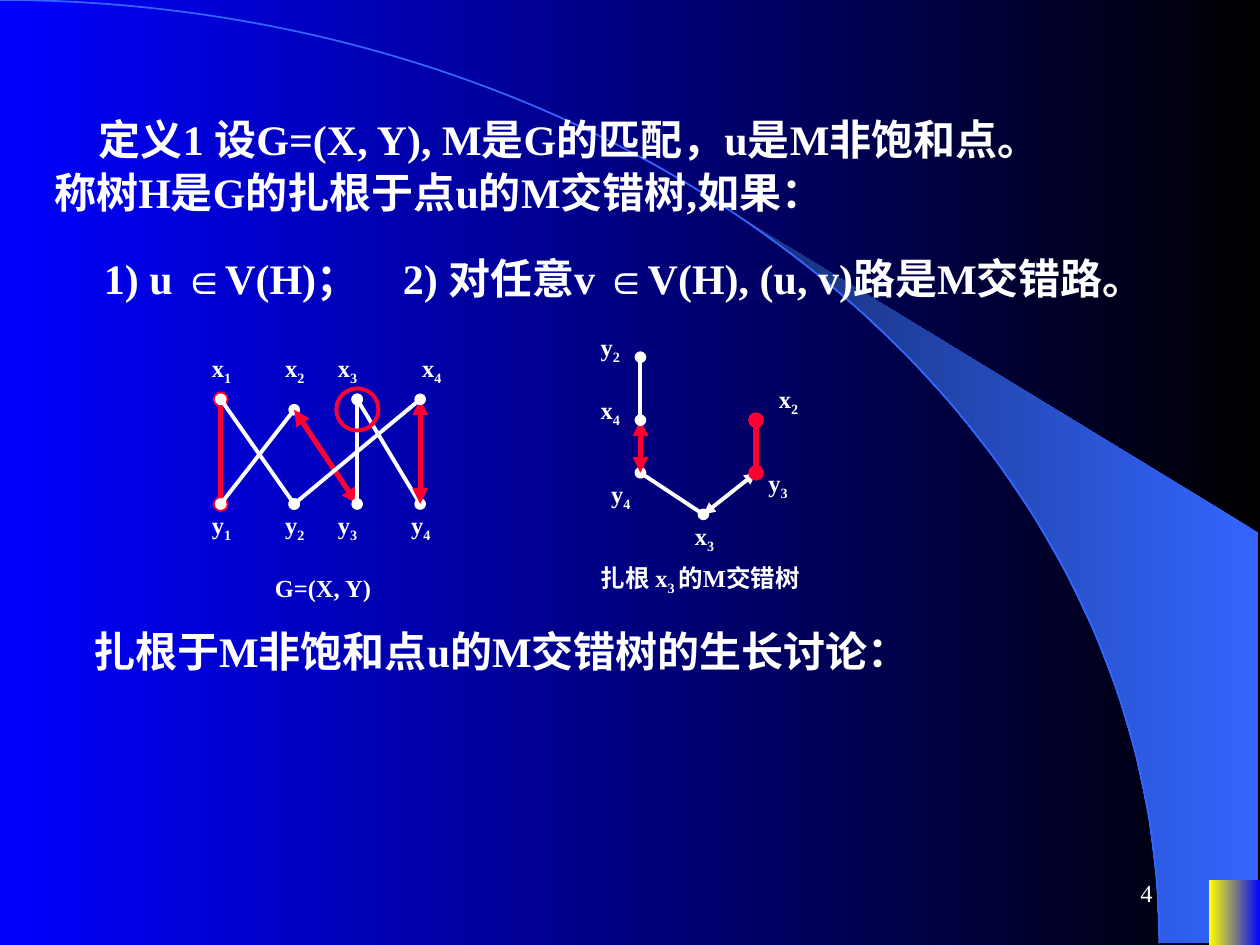
from math import asin, cos, pi, sin

from lxml import etree
from pptx import Presentation
from pptx.dml.color import RGBColor
from pptx.enum import shapes, text
from pptx.oxml import ns
from pptx.util import Cm, Pt

WHITE, RED, BLUE = "FFFFFF", "FF0033", "3366FF"


def paint(fill, *cols):
    """Solid fill for one colour, right-to-left gradient for two."""
    if len(cols) == 1:
        fill.solid()
        fill.fore_color.rgb = RGBColor.from_string(cols[0])
        return
    fill.gradient()
    fill.gradient_angle = 180
    for stop, col in zip(fill.gradient_stops, cols):
        stop.color.rgb = RGBColor.from_string(col)


def write(box, words, at, size=14, bold=True, indent=0, lead=1.0,
          align=text.PP_ALIGN.LEFT, anchor=text.MSO_ANCHOR.TOP):
    """Fill a box; "_" marks a subscript, or a stretched gap before a space."""
    box.left, box.top, box.width, box.height = [Cm(n) for n in at]
    frame = box.text_frame
    frame.word_wrap = True
    frame.auto_size = text.MSO_AUTO_SIZE.NONE
    frame.vertical_anchor = anchor
    par = frame.paragraphs[0]
    par.alignment = align
    par.line_spacing = lead
    par.space_before = Pt(0)
    props = par._p.get_or_add_pPr()
    props.set("marL", "0")
    props.set("indent", str(Cm(indent)))
    props.set("hangingPunct", "0")
    etree.SubElement(props, ns.qn("a:buNone"))
    first, *rest = words.split("_")
    parts = [(first, False)]
    for bit in rest:
        cut = 2 if bit[1:2] == " " else 1
        parts += [(bit[:cut], True), (bit[cut:], False)]
    for part, marked in parts:
        if part:
            run = par.add_run()
            run.text = part
            font = run.font
            font.name, font.size, font.bold = "Times New Roman", Pt(size), bold
            paint(font.fill, WHITE)
            if marked:
                key, val = ("spc", "2000") if part == " " else ("baseline", "-25000")
                run._r.get_or_add_rPr().set(key, val)


deck = Presentation()
deck.slide_width, deck.slide_height = Cm(25.4), Cm(19.05)
slide = deck.slides.add_slide(deck.slide_layouts[1])
items = slide.shapes
paint(slide.background.fill, "000000", "0000FF")

# Backdrop: quarter ellipse and the band that runs along its lower end
wide, high, steps = 23.37, 19.02, 13
start = asin(0.64)
turns = [start + (pi / 2 - start) * i / steps for i in range(steps + 1)]
rim = [(Cm(wide * sin(t)), Cm(high * (1 - cos(t)))) for t in turns]
pen = items.build_freeform(*rim[0])
pen.add_line_segments(rim[1:] + [(Cm(25.37), Cm(high)), (Cm(25.37), Cm(10.74))])
band = pen.convert_to_shape()
paint(band.fill, BLUE, "172F75")
band.line.fill.background()

curve = items.add_shape(shapes.MSO_SHAPE.ARC,
                        Cm(-wide), Cm(0), Cm(2 * wide), Cm(2 * high))
curve.fill.background()
paint(curve.line.fill, BLUE)
curve.line.width = Pt(1)

# Corner block
block = items.add_shape(shapes.MSO_SHAPE.RECTANGLE,
                        Cm(24.38), Cm(17.74), Cm(1.02), Cm(1.31))
paint(block.fill, "0000FF", "FFFF00")
block.line.fill.background()

# Definition and its conditions, in front of the backdrop
head, body = items.title, slide.placeholders[1]
for box in (head, body):
    items._spTree.append(box._element)
write(head, "定义1 设G=(X, Y), M是G的匹配，u是M非饱和点。称树H是G的扎根于点u的M交错树,如果：",
      (0.84, 2.13, 22.02, 2.46), size=24, indent=0.9, lead=1.04)
head.text_frame.margin_right = Cm(1.4)
write(body, "1) u ∈V(H)；_ 2) 对任意v ∈V(H), (u, v)路是M交错路。",
      (0.84, 4.92, 23.93, 1.45), size=24, indent=1, lead=1.04)

# Nodes of the bipartite graph and of the tree
cols = (4.45, 5.93, 7.2, 8.47)
graph = {f"y{i}": (x, 10.16) for i, x in enumerate(cols, 1)}
graph |= {f"x{i}": (x, 8.05) for i, x in enumerate(cols, 1)}
graph["x2"] = (5.93, 8.26)
tree = {"x3": (14.18, 10.37), "y4": (12.91, 9.53), "x4": (12.91, 8.47),
        "y2": (12.91, 7.2), "y3": (15.24, 9.53), "x2": (15.24, 8.47)}

# Edges: nodes, from, to, colour, end mark
edges = [
    (graph, "x1", "y1", RED, "oval"),
    (graph, "x1", "y2", WHITE, "oval"),
    (graph, "y1", "x2", WHITE, "oval"),
    (graph, "x2", "y3", RED, "triangle"),
    (graph, "y3", "x3", WHITE, "oval"),
    (graph, "x3", "y4", WHITE, "oval"),
    (graph, "y4", "x4", RED, "triangle"),
    (graph, "x4", "y2", WHITE, "oval"),
    (tree, "x3", "y4", WHITE, "oval"),
    (tree, "y4", "x4", RED, "triangle"),
    (tree, "x4", "y2", WHITE, "oval"),
    (tree, "x3", "y3", WHITE, "triangle"),
    (tree, "y3", "x2", RED, "oval"),
]
for nodes, a, b, col, mark in edges:
    ends = [Cm(n) for n in nodes[a] + nodes[b]]
    link = items.add_connector(shapes.MSO_CONNECTOR.STRAIGHT, *ends)
    paint(link.line.fill, col)
    link.line.width = Pt(3 if col == RED else 2.25)
    for tip in ("a:headEnd", "a:tailEnd"):
        etree.SubElement(link.line._get_or_add_ln(), ns.qn(tip), type=mark)
    etree.SubElement(link._element.spPr, ns.qn("a:effectLst"))

# Ring around the root
ring = items.add_shape(shapes.MSO_SHAPE.OVAL, Cm(6.78), Cm(7.83), Cm(0.85), Cm(0.85))
ring.fill.background()
paint(ring.line.fill, RED)
ring.line.width = Pt(2.25)

for shape in (band, curve, block, ring):
    shape.shadow.inherit = False

# Node labels
labels = [(f"x_{i}", x, 6.99) for i, x in enumerate((4.02, 5.5, 6.56, 8.26), 1)]
labels += [(f"y_{i}", x, 10.16) for i, x in enumerate((4.02, 5.5, 6.56, 8.04), 1)]
labels += [("x_3", 13.76, 10.37), ("x_2", 15.45, 7.62), ("x_4", 11.86, 7.83),
           ("y_4", 12.07, 9.53), ("y_3", 15.24, 9.31), ("y_2", 11.86, 6.56)]
for name, x, y in labels:
    write(items.add_textbox(0, 0, 0, 0), name, (x, y, 1.1, 0.93))

# Captions, closing line and page number
write(items.add_textbox(0, 0, 0, 0), "G=(X, Y)", (5.29, 11.43, 2.75, 0.86))
write(items.add_textbox(0, 0, 0, 0), "扎根 x_3 的M交错树", (11.86, 11.22, 5.72, 0.93))
write(items.add_textbox(0, 0, 0, 0), "扎根于M非饱和点u的M交错树的生长讨论：",
      (1.06, 12.49, 21.8, 1.28), size=24, indent=0.57)
write(items.add_textbox(0, 0, 0, 0), "4", (18.2, 17.36, 5.29, 1.27), bold=False,
      align=text.PP_ALIGN.RIGHT, anchor=text.MSO_ANCHOR.MIDDLE)

deck.save("out.pptx")
